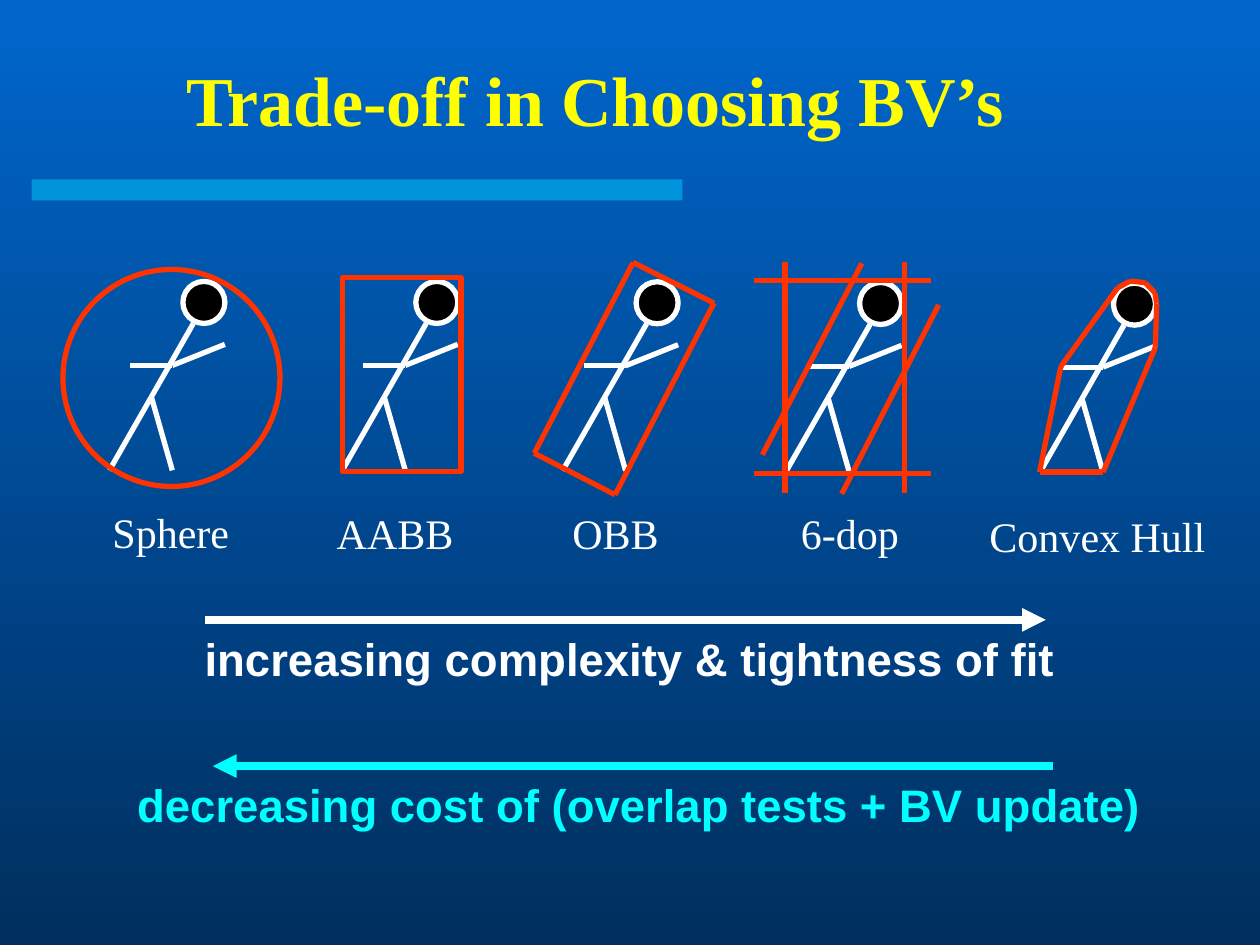
import itertools

import lxml.etree
import pptx
import pptx.dml.color
import pptx.enum.shapes
import pptx.enum.text
import pptx.oxml.ns
import pptx.util

Pt = pptx.util.Pt
RGBColor = pptx.dml.color.RGBColor
SHAPE = pptx.enum.shapes.MSO_SHAPE
ALIGN = pptx.enum.text.PP_ALIGN
qn = pptx.oxml.ns.qn

SKY = RGBColor(0x00, 0x66, 0xCC)
NAVY = RGBColor(0x00, 0x2F, 0x5E)
BAR_BLUE = RGBColor(0x00, 0xCC, 0xFF)
YELLOW = RGBColor(0xFF, 0xFF, 0x00)
WHITE = RGBColor(0xFF, 0xFF, 0xFF)
BLACK = RGBColor(0x00, 0x00, 0x00)
CYAN = RGBColor(0x00, 0xFF, 0xFF)
RED = RGBColor(0xFF, 0x33, 0x00)

# Stick figure limbs, as offsets from the hip.
LIMBS = [
    ((24, -42), (0, 0)),
    ((0, 0), (-24, 42)),
    ((0, 0), (12, 42)),
    ((12, -18), (42, -30)),
    ((12, -18), (-12, -18)),
]
# name, hip, label centre, label top, label width
FIGURES = [
    ("Sphere", (86.5, 226.8), 97.6, 286, 84),
    ("AABB", (219.6, 226.8), 225.7, 286.5, 84),
    ("OBB", (345.5, 227), 351.7, 286.5, 84),
    ("6-dop", (473.2, 227.4), 485.6, 286.5, 84),
    ("Convex Hull", (618.3, 227.8), 627.1, 288, 144),
]
OBB_CORNERS = [(305.3, 259), (361.8, 150), (408, 173.2), (351.5, 282.7)]
DOP_SLABS = [
    ((430.6, 160.4), (532.1, 160.4)),
    ((430.6, 270.7), (532.1, 270.7)),
    ((448.6, 149.8), (448.6, 281.5)),
    ((517, 149.8), (517, 281.5)),
    ((435.6, 259.9), (492.5, 150.5)),
    ((481, 282.2), (536.4, 174.2)),
]
HULL_CORNERS = [
    (594, 269.8), (606.2, 209.5), (638.6, 164.5), (645.8, 160.6),
    (654.5, 161.6), (660, 167.4), (661, 173.5), (660.2, 198.7), (630.4, 269.8),
]


def paint_background(slide):
    fill = slide.background.fill
    fill.gradient()
    fill.gradient_angle = 270
    for stop, color in zip(fill.gradient_stops, (SKY, NAVY)):
        stop.color.rgb = color


def place(shape, left, top, width, height):
    shape.left, shape.top = Pt(left), Pt(top)
    shape.width, shape.height = Pt(width), Pt(height)


def add_run(paragraph, text, font, size, color, bold=False):
    run = paragraph.add_run()
    run.text = text
    run.font.name = font
    run.font.size = Pt(size)
    run.font.bold = bold
    run.font.color.rgb = color


def add_line(slide, start, end, color, width=3, arrow=False):
    line = slide.shapes.add_connector(
        pptx.enum.shapes.MSO_CONNECTOR.STRAIGHT, *map(Pt, start + end))
    line.line.color.rgb = color
    line.line.width = Pt(width)
    if arrow:
        outline = line.line._get_or_add_ln()
        lxml.etree.SubElement(outline, qn("a:tailEnd"), type="triangle")
    lxml.etree.SubElement(line._element.spPr, qn("a:effectLst"))


def add_outline(slide, corners):
    """Close the corners into a loop of red lines."""
    for start, end in itertools.pairwise(corners + corners[:1]):
        add_line(slide, start, end, RED)


def add_preset(slide, preset, box, fill=None, line=None):
    shape = slide.shapes.add_shape(preset, *map(Pt, box))
    shape.shadow.inherit = False
    if fill is None:
        shape.fill.background()
    else:
        shape.fill.solid()
        shape.fill.fore_color.rgb = fill
    if line is None:
        shape.line.fill.background()
    else:
        shape.line.color.rgb = line
        shape.line.width = Pt(3)
    return shape


def add_title_bar(slide):
    bar = add_preset(slide, SHAPE.RECTANGLE, (18, 102.5, 372, 12), BAR_BLUE)
    color = bar.fill._xPr.find(qn("a:solidFill"))[0]
    lxml.etree.SubElement(color, qn("a:alpha"), val="50000")


def add_stick_figure(slide, hip):
    x, y = hip
    add_preset(slide, SHAPE.OVAL, (x + 18, y - 66, 24, 24), BLACK, WHITE)
    for (x1, y1), (x2, y2) in LIMBS:
        add_line(slide, (x + x1, y + y1), (x + x2, y + y2), WHITE)


def add_label(slide, text, center, top, width):
    label = slide.shapes.add_textbox(
        Pt(center - width / 2), Pt(top), Pt(width), Pt(36))
    label.text_frame.word_wrap = True
    paragraph = label.text_frame.paragraphs[0]
    paragraph.alignment = ALIGN.CENTER
    add_run(paragraph, text, "Times New Roman", 24, WHITE)


def add_bounding_volumes(slide):
    add_preset(slide, SHAPE.OVAL, (36, 154, 124, 124), line=RED)
    add_preset(slide, SHAPE.RECTANGLE, (195.8, 158.4, 67.7, 110.9), line=RED)
    add_outline(slide, OBB_CORNERS)
    for start, end in DOP_SLABS:
        add_line(slide, start, end, RED)
    add_outline(slide, HULL_CORNERS)


def write_title(title):
    place(title, 21, 23, 638, 67)
    frame = title.text_frame
    frame.auto_size = pptx.enum.text.MSO_AUTO_SIZE.NONE
    frame.vertical_anchor = pptx.enum.text.MSO_ANCHOR.MIDDLE
    paragraph = frame.paragraphs[0]
    paragraph.alignment = ALIGN.CENTER
    add_run(paragraph, "Trade-off in Choosing BV’s", "Times New Roman", 40,
            YELLOW, bold=True)


def write_trade_offs(body):
    place(body, 49.7, 357, 639.3, 125.3)
    frame = body.text_frame
    frame.auto_size = pptx.enum.text.MSO_AUTO_SIZE.NONE
    trade_offs = [
        ("increasing complexity & tightness of fit", WHITE, 60, 0),
        ("decreasing cost of (overlap tests + BV update)", CYAN, 21.5, 52),
    ]
    for index, (text, color, indent, space_before) in enumerate(trade_offs):
        paragraph = frame.add_paragraph() if index else frame.paragraphs[0]
        paragraph.space_before = Pt(space_before)
        properties = paragraph._p.get_or_add_pPr()
        properties.set("marL", str(Pt(indent)))
        properties.set("indent", "0")
        lxml.etree.SubElement(properties, qn("a:buNone"))
        add_run(paragraph, text, "Arial", 26, color, bold=True)


def main():
    deck = pptx.Presentation()
    deck.slide_width, deck.slide_height = Pt(720), Pt(540)
    slide = deck.slides.add_slide(deck.slide_layouts[1])
    paint_background(slide)
    write_title(slide.shapes.title)
    write_trade_offs(slide.placeholders[1])
    add_title_bar(slide)
    for name, hip, center, top, width in FIGURES:
        add_stick_figure(slide, hip)
        add_label(slide, name, center, top, width)
    add_bounding_volumes(slide)
    add_line(slide, (117.4, 354.2), (597.6, 354.2), WHITE, 4.5, arrow=True)
    add_line(slide, (601.9, 437.8), (121.7, 437.8), CYAN, 4.5, arrow=True)
    deck.save("out.pptx")


if __name__ == "__main__":
    main()
